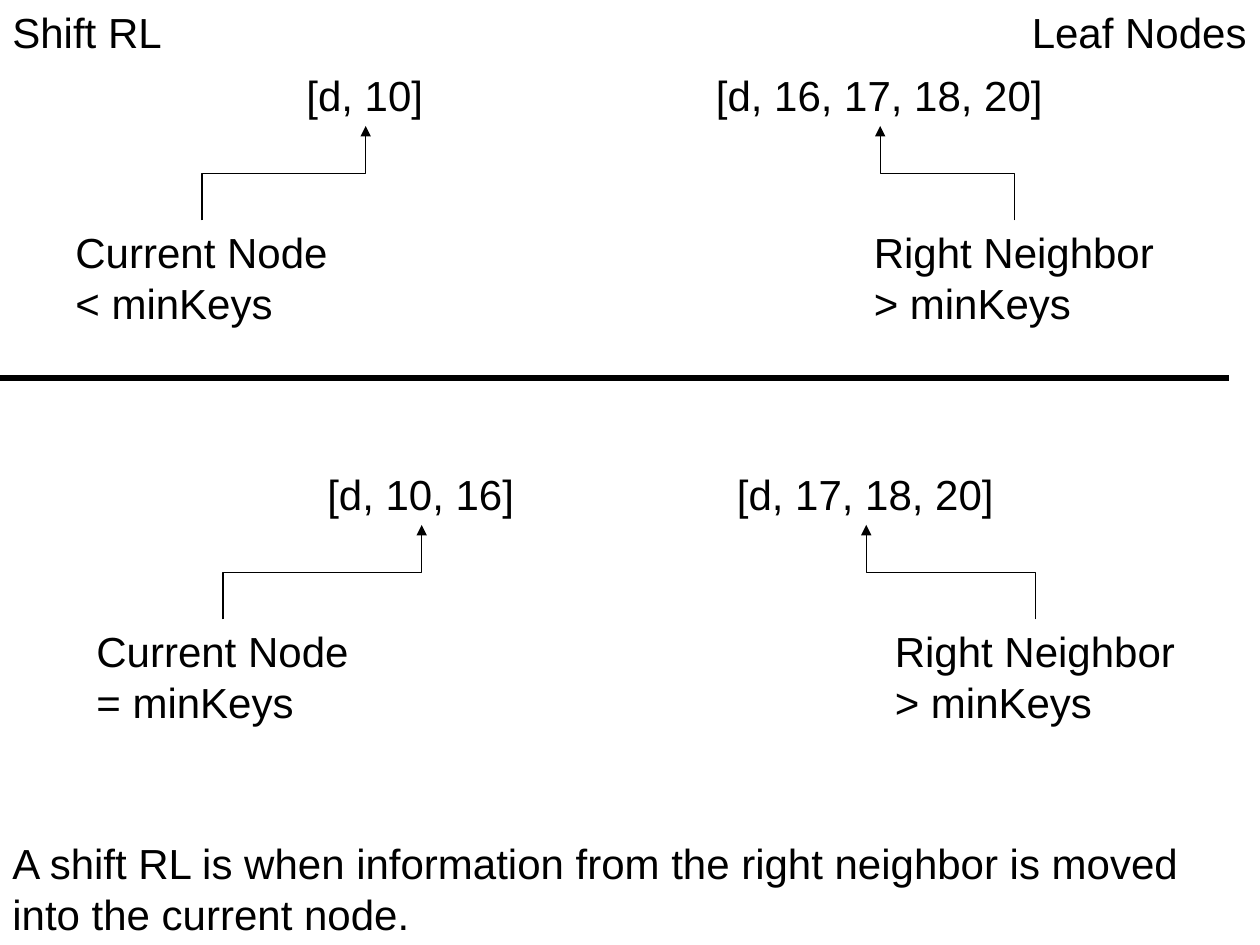
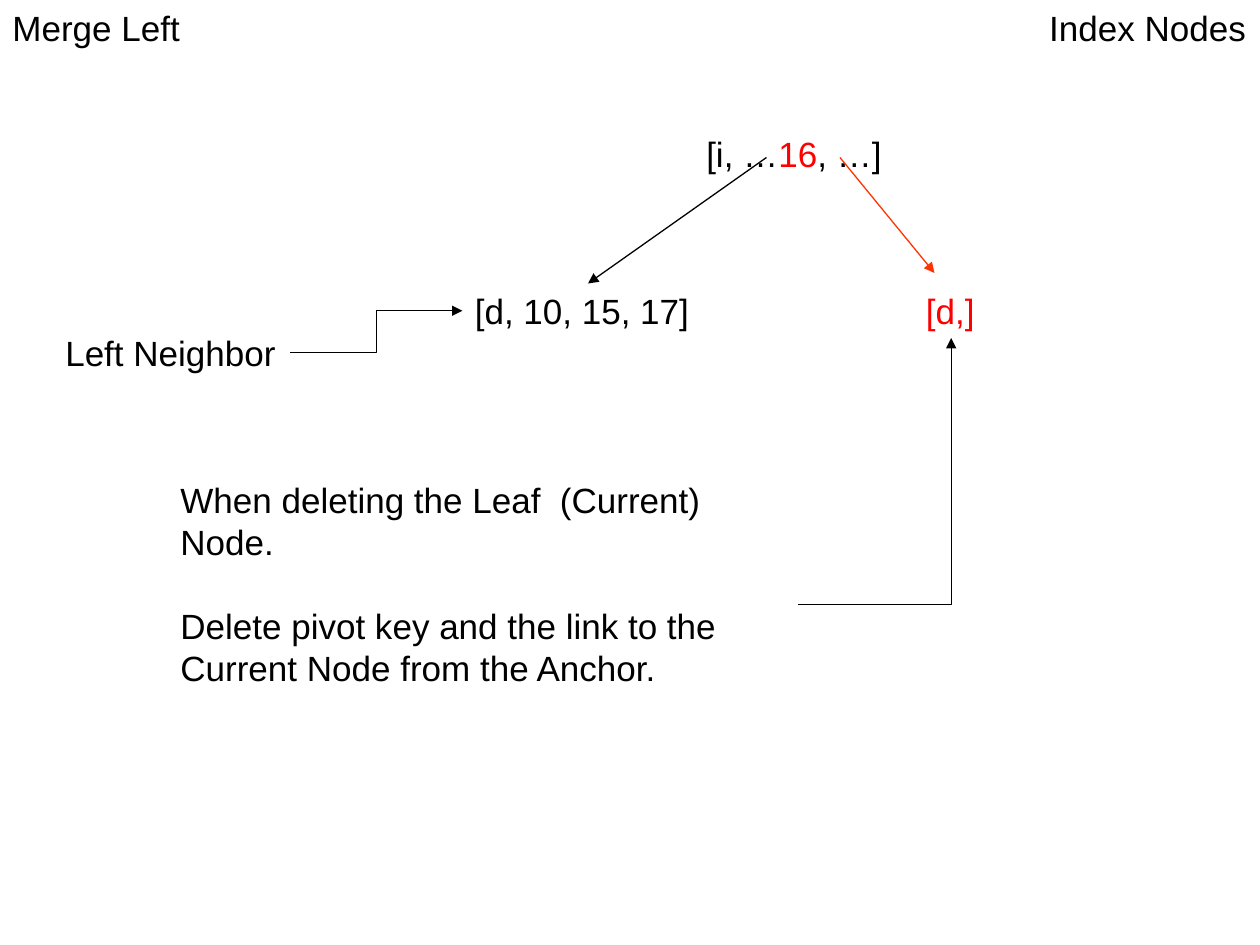
from dataclasses import dataclass

from lxml.etree import SubElement
from pptx import Presentation
from pptx.dml.color import RGBColor
from pptx.enum.shapes import MSO_CONNECTOR
from pptx.enum.text import MSO_AUTO_SIZE
from pptx.oxml.ns import qn
from pptx.presentation import Presentation as Deck
from pptx.shapes.connector import Connector
from pptx.slide import Slide
from pptx.util import Pt

BLACK, RED, LINK_RED = "000000", "FF0000", "FF3300"
FONT = "Arial"
PAGE_WIDTH, PAGE_HEIGHT = 720, 540
LEAF_SIZE, INDEX_SIZE = 24, 20
NOTE_DROP = 90

Point = tuple[float, float]


@dataclass(frozen=True)
class Label:
    """A text box whose height follows from its number of rows."""

    text: str
    left: float
    top: float
    width: float
    size: int
    rows: int = 1
    wrap: bool = False
    red: str = ""
    gap: float = 0

    @property
    def height(self) -> float:
        """Return the height of the rows plus the insets."""
        return self.rows * self.size * 1.2 + 7.2

    @property
    def center(self) -> float:
        """Return the horizontal centre."""
        return self.left + self.width / 2

    @property
    def middle(self) -> float:
        """Return the vertical centre."""
        return self.top + self.height / 2

    @property
    def right(self) -> float:
        """Return the right edge."""
        return self.left + self.width

    @property
    def bottom(self) -> float:
        """Return the bottom edge."""
        return self.top + self.height


@dataclass(frozen=True)
class ShiftState:
    """The two leaf nodes at one moment of the shift."""

    left: float
    top: float
    current_keys: str
    current_width: float
    current_note: str
    neighbor_keys: str
    neighbor_width: float


STATES = (
    ShiftState(36, 36, "[d, 10]", 82, "< minKeys", "[d, 16, 17, 18, 20]", 202),
    ShiftState(48, 264, "[d, 10, 16]", 122, "= minKeys", "[d, 17, 18, 20]", 162),
)


def color(value: str) -> RGBColor:
    """Turn a hex string into a colour."""
    return RGBColor.from_string(value)


def add_label(page: Slide, label: Label) -> Label:
    """Draw a label, with its marked words in red."""
    box = page.shapes.add_textbox(
        Pt(label.left), Pt(label.top), Pt(label.width), Pt(label.height)
    )
    frame = box.text_frame
    frame.word_wrap = label.wrap
    frame.auto_size = MSO_AUTO_SIZE.SHAPE_TO_FIT_TEXT
    for index, line in enumerate(label.text.split("\n")):
        para = frame.add_paragraph() if index else frame.paragraphs[0]
        if index and label.gap:
            para.space_before = Pt(label.gap)
        for piece in line.partition(label.red) if label.red else (line,):
            if piece:
                span = para.add_run()
                span.text = piece
                span.font.name = FONT
                span.font.size = Pt(label.size)
                span.font.color.rgb = color(RED if piece == label.red else BLACK)
    return label


def add_line(
    page: Slide,
    start: Point,
    end: Point,
    kind: MSO_CONNECTOR = MSO_CONNECTOR.STRAIGHT,
    tint: str = BLACK,
    weight: float = 0.75,
    arrow: bool = True,
) -> Connector:
    """Draw a connector, with an arrowhead at its end if wanted."""
    line = page.shapes.add_connector(kind, *(Pt(value) for value in (*start, *end)))
    line.line.color.rgb = color(tint)
    line.line.width = Pt(weight)
    if arrow:
        SubElement(line.line._get_or_add_ln(), qn("a:tailEnd"), type="triangle")
    SubElement(line._element.spPr, qn("a:effectLst"))
    return line


def point_up(page: Slide, note: Label, keys: Label) -> None:
    """Draw a turned elbow from the top of a note up to its keys."""
    across, rise = keys.center - note.center, note.top - keys.bottom
    side = 1 if across > 0 else -1
    middle_x = (keys.center + note.center) / 2
    middle_y = (keys.bottom + note.top) / 2
    reach_x, reach_y = side * rise / 2, abs(across) / 2
    elbow = add_line(
        page,
        (middle_x + reach_x, middle_y + reach_y),
        (middle_x - reach_x, middle_y - reach_y),
        MSO_CONNECTOR.ELBOW,
    )
    turn = 180 - 90 * side
    elbow._element.spPr.find(qn("a:xfrm")).set("rot", str(turn * 60000))


def add_headings(
    page: Slide, left: str, left_width: float, right: str, right_width: float, size: int
) -> None:
    """Draw the operation at top left and the node type at top right."""
    add_label(page, Label(left, 0, 0, left_width, size))
    add_label(page, Label(right, PAGE_WIDTH - right_width, 0, right_width, size))


def draw_state(page: Slide, state: ShiftState) -> None:
    """Draw both nodes of a state with their notes and arrows."""
    nodes = (
        ("Current Node\n" + state.current_note, 0, 159,
         state.current_keys, 132, state.current_width),
        ("Right Neighbor\n> minKeys", 456.25, 175,
         state.neighbor_keys, 366, state.neighbor_width),
    )
    for note_text, note_shift, note_width, keys_text, keys_shift, keys_width in nodes:
        keys = add_label(
            page,
            Label(keys_text, state.left + keys_shift, state.top, keys_width, LEAF_SIZE),
        )
        note = add_label(
            page,
            Label(note_text, state.left + note_shift, state.top + NOTE_DROP,
                  note_width, LEAF_SIZE, rows=2),
        )
        point_up(page, note, keys)


def draw_shift(page: Slide) -> None:
    """Draw the shift from right to left between leaf nodes."""
    add_headings(page, "Shift RL", 101, "Leaf Nodes", 137.5, LEAF_SIZE)
    for state in STATES:
        draw_state(page, state)
    add_line(page, (0, 216), (702, 216), weight=3, arrow=False)
    summary = (
        "A shift RL is when information from the right neighbor "
        "is moved into the current node."
    )
    add_label(page, Label(summary, 0, 475.2, 708, LEAF_SIZE, rows=2, wrap=True))


def draw_merge(page: Slide) -> None:
    """Draw the merge to the left under an index node."""
    add_headings(page, "Merge Left", 111, "Index Nodes", 127.5, INDEX_SIZE)
    add_label(page, Label("[i, …16, …]", 396.5, 72, 115.5, INDEX_SIZE, red="16"))
    rule = add_label(
        page,
        Label(
            "When deleting the Leaf  (Current) Node.\n"
            "Delete pivot key and the link to the Current Node from the Anchor.",
            96, 270, 360, INDEX_SIZE, rows=6, wrap=True, gap=24,
        ),
    )
    kept = add_label(page, Label("[d, 10, 15, 17]", 264.25, 162, 137.5, INDEX_SIZE))
    emptied = add_label(page, Label("[d,]", 522, 162, 43, INDEX_SIZE, red="[d,]"))
    neighbor = add_label(page, Label("Left Neighbor", 30.25, 186, 135.5, INDEX_SIZE))

    add_line(page, (438, 90), (336, 162))
    add_line(page, (480, 90), (534, 156), tint=LINK_RED)
    add_line(
        page, (neighbor.right, neighbor.middle), (kept.left, kept.middle),
        MSO_CONNECTOR.ELBOW,
    )
    corner = add_line(
        page, (rule.right, rule.middle), (emptied.center, emptied.bottom),
        MSO_CONNECTOR.ELBOW,
    )
    corner._element.spPr.find(qn("a:prstGeom")).set("prst", "bentConnector2")


def main() -> None:
    """Build and save the deck."""
    deck: Deck = Presentation()
    deck.slide_width, deck.slide_height = Pt(PAGE_WIDTH), Pt(PAGE_HEIGHT)
    for draw in (draw_shift, draw_merge):
        draw(deck.slides.add_slide(deck.slide_layouts[6]))
    deck.save("out.pptx")


if __name__ == "__main__":
    main()
